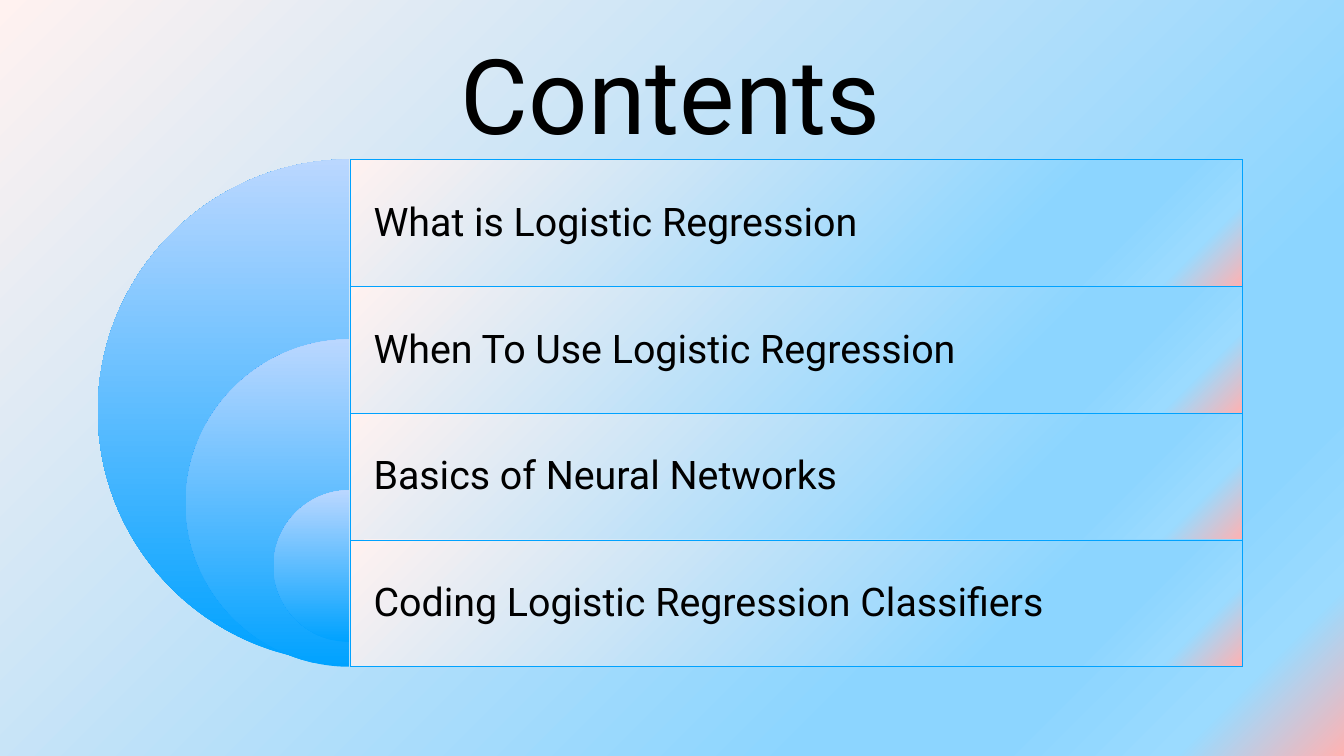
import pptx
import pptx.oxml.ns
import pptx.util
from lxml import etree
from pptx.dml.color import RGBColor
from pptx.enum.text import MSO_ANCHOR, PP_ALIGN
from pptx.util import Inches

TOPICS = [
    "What is Logistic Regression",
    "When To Use Logistic Regression",
    "Basics of Neural Networks",
    "Coding Logistic Regression Classifiers",
]
HALF_DISCS = [(3.55, 2.25), (2.31, 4.79), (1.07, 6.92)]  # radius, top
DISC_EDGE = 4.93
ARC_HANDLE = 0.55  # Bezier handle of a quarter circle, as a share of radius
TABLE_LEFT, TABLE_TOP, TABLE_WIDTH, ROW_HEIGHT = 4.94, 2.25, 12.58, 1.79

FONT = "Roboto"
BLACK = RGBColor(0x00, 0x00, 0x00)
BLUE = RGBColor(0x00, 0xA2, 0xFF)
PALE_BLUE = RGBColor(0xBA, 0xD7, 0xFF)
SKY = RGBColor(0x8C, 0xD5, 0xFF)
LIGHT_SKY = RGBColor(0x9B, 0xDB, 0xFF)
BLUSH = RGBColor(0xFF, 0xF2, 0xF0)
PINK = RGBColor(0xFF, 0xB2, 0xB2)

SKY_STOPS = [(0, BLUSH), (74, SKY), (83, SKY), (92, LIGHT_SKY), (100, PINK)]
DISC_STOPS = [(0, BLUE), (100, PALE_BLUE)]
qn = pptx.oxml.ns.qn


def set_gradient(fill, parent, stops, angle):
    """Give a fill, held by the XML element parent, a linear gradient."""
    fill.gradient()
    grad = parent.find(qn("a:gradFill"))
    for child in list(grad):
        grad.remove(child)
    stop_list = etree.SubElement(grad, qn("a:gsLst"))
    for percent, color in stops:
        stop = etree.SubElement(stop_list, qn("a:gs"), pos=str(percent * 1000))
        etree.SubElement(stop, qn("a:srgbClr"), val=str(color))
    etree.SubElement(grad, qn("a:lin"), ang=str(angle * 60000), scaled="0")


def set_borders(cell, color, width):
    """Draw all four borders of a table cell."""
    props = cell._tc.get_or_add_tcPr()
    for i, side in enumerate(("a:lnL", "a:lnR", "a:lnT", "a:lnB")):
        line = etree.Element(qn(side), w=str(pptx.util.Pt(width)))
        solid = etree.SubElement(line, qn("a:solidFill"))
        etree.SubElement(solid, qn("a:srgbClr"), val=str(color))
        props.insert(i, line)


def set_font(p, size):
    """Set the font of a paragraph."""
    p.font.name = FONT
    p.font.size = pptx.util.Pt(size)
    p.font.color.rgb = BLACK


def curve_segments(sp, count):
    """Turn the first line segments, three at a time, into Bezier curves."""
    segments = list(sp._element.iter(qn("a:lnTo")))
    for i in range(0, count * 3, 3):
        curve = etree.Element(qn("a:cubicBezTo"))
        segments[i].addprevious(curve)
        for segment in segments[i:i + 3]:
            curve.append(segment[0])
            segment.getparent().remove(segment)


def add_half_disc(group, radius, top):
    """Add the left half of a disc, its flat side on the disc edge."""
    h = ARC_HANDLE
    unit_points = [(0, 1), (-h, 1), (-1, h), (-1, 0), (-1, -h), (-h, -1),
                   (0, -1), (0, 0)]
    points = [(Inches(DISC_EDGE + radius * x), Inches(top + radius * (1 + y)))
              for x, y in unit_points]
    builder = group.shapes.build_freeform(*points[0])
    builder.add_line_segments(points[1:], close=True)
    sp = builder.convert_to_shape()
    curve_segments(sp, 2)
    sp.shadow.inherit = False
    sp.line.fill.background()
    set_gradient(sp.fill, sp._element.spPr, DISC_STOPS, 270)


def add_title(s, text):
    """Place and format the title."""
    sp = s.shapes.title
    sp.left, sp.top = Inches(1.37), Inches(0.13)
    sp.width, sp.height = Inches(16.19), Inches(2.36)
    tf = sp.text_frame
    tf.text = text
    tf.vertical_anchor = MSO_ANCHOR.MIDDLE
    tf.margin_left = tf.margin_right = Inches(0.06)
    tf.margin_top = tf.margin_bottom = Inches(0.06)
    p = tf.paragraphs[0]
    p.alignment = PP_ALIGN.CENTER
    set_font(p, 106)


def add_topics(s):
    """Add the table with one row for each topic."""
    table = s.shapes.add_table(
        len(TOPICS), 1, Inches(TABLE_LEFT), Inches(TABLE_TOP),
        Inches(TABLE_WIDTH), Inches(ROW_HEIGHT * len(TOPICS))).table
    table.first_row = table.horz_banding = False
    for row, topic in zip(table.rows, TOPICS):
        row.height = Inches(ROW_HEIGHT)
        cell = row.cells[0]
        cell.text = topic
        cell.vertical_anchor = MSO_ANCHOR.MIDDLE
        cell.margin_left = cell.margin_right = 0
        cell.margin_top = cell.margin_bottom = 0
        p = cell.text_frame.paragraphs[0]
        set_font(p, 40)
        p_props = p._p.get_or_add_pPr()
        p_props.set("marL", "0")
        p_props.set("indent", str(Inches(0.33)))
        set_gradient(cell.fill, cell._tc.get_or_add_tcPr(), SKY_STOPS, 45)
        set_borders(cell, BLUE, 0.75)


prs = pptx.Presentation()
prs.slide_width, prs.slide_height = Inches(18.96), Inches(10.67)
s = prs.slides.add_slide(prs.slide_layouts[5])
bg_fill = s.background.fill
set_gradient(bg_fill, s._element.find(".//" + qn("p:bgPr")), SKY_STOPS, 45)
group = s.shapes.add_group_shape()
for radius, top in HALF_DISCS:
    add_half_disc(group, radius, top)
add_title(s, "Contents")
add_topics(s)
prs.save("out.pptx")
